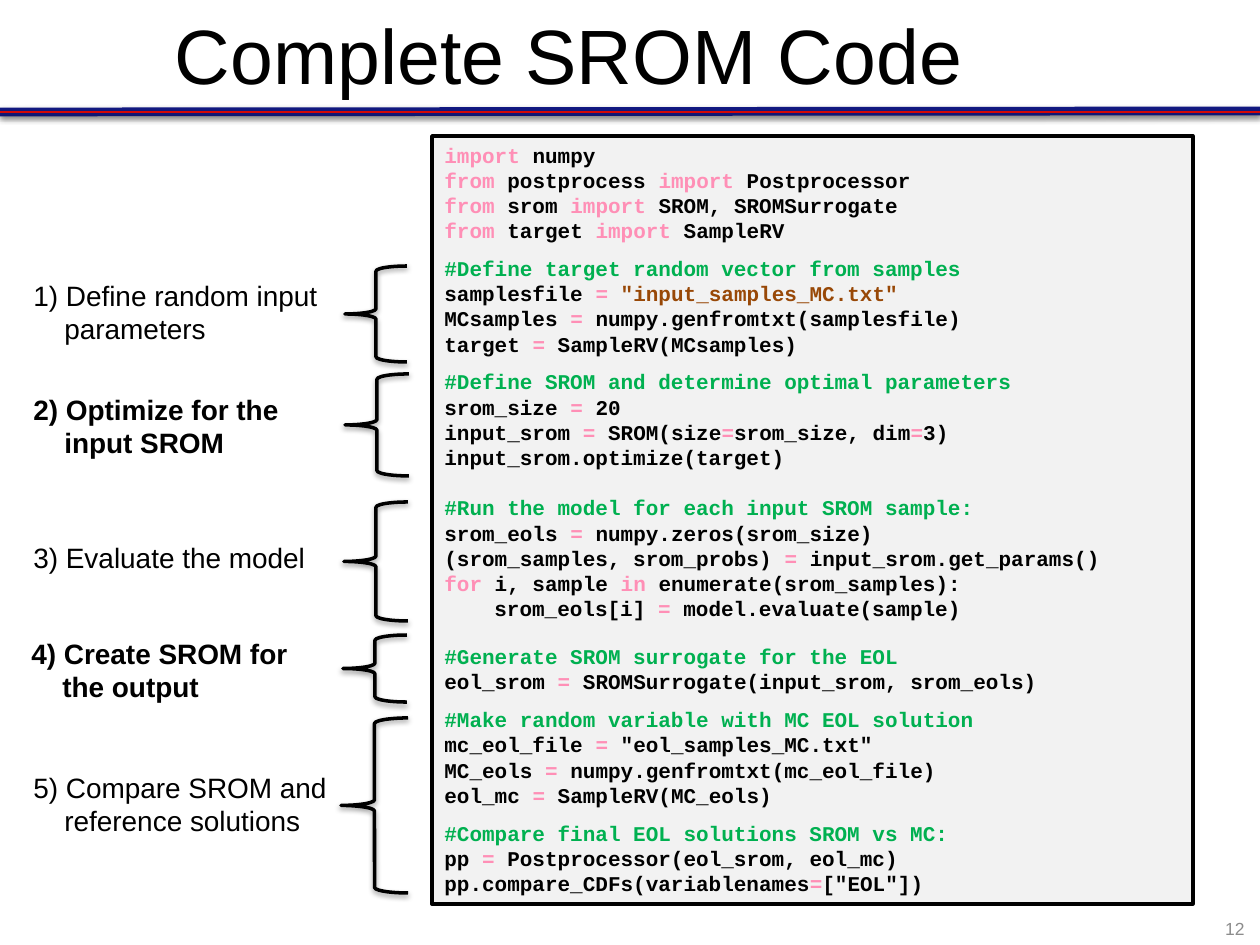
from pptx import Presentation
from pptx.dml.color import RGBColor
from pptx.enum.shapes import MSO_CONNECTOR, MSO_SHAPE
from pptx.enum.text import MSO_ANCHOR, PP_ALIGN
from pptx.oxml import parse_xml
from pptx.oxml.ns import nsdecls
from pptx.util import Pt

PX = 914400 // 126
HUES = {"black": "000000", "pink": "FF8FB6", "green": "00B050", "brown": "984807",
        "panel": "F2F2F2", "navy": "121981", "red": "D40805", "grey": "8C8C8C"}

# (points of space before the block, lines); "|" switches black and pink
CODE = [
    (0, ["|import |numpy",
         "|from |postprocess |import| Postprocessor",
         "|from| srom |import| SROM, SROMSurrogate",
         "|from |target |import |SampleRV"]),
    (7.2, ["#Define target random vector from samples",
           'samplesfile |= |"input_samples_MC.txt"',
           "MCsamples |= |numpy.genfromtxt(samplesfile)",
           "target |= |SampleRV(MCsamples)"]),
    (7.2, ["#Define SROM and determine optimal parameters",
           "srom_size |=| 20",
           "input_srom |=| SROM(size|=|srom_size, dim|=|3)",
           "input_srom.optimize(target)"]),
    (14.4, ["#Run the model for each input SROM sample:",
            "srom_eols |= |numpy.zeros(srom_size)",
            "(srom_samples, srom_probs) |= |input_srom.get_params()",
            "|for |i, sample |in| enumerate(srom_samples):",
            "\tsrom_eols[i] |= |model.evaluate(sample)"]),
    (13, ["#Generate SROM surrogate for the EOL",
          "eol_srom |= |SROMSurrogate(input_srom, srom_eols)"]),
    (7.2, ["#Make random variable with MC EOL solution",
           'mc_eol_file |=| "eol_samples_MC.txt"',
           "MC_eols |= |numpy.genfromtxt(mc_eol_file)",
           "eol_mc |= |SampleRV(MC_eols)"]),
    (7.2, ["#Compare final EOL solutions SROM vs MC:",
           "pp |=| Postprocessor(eol_srom, eol_mc)",
           'pp.compare_CDFs(variablenames|=|["EOL"])']),
]

# label lines, bold, label left and top, brace box
STEPS = [
    (["1) Define random input", "parameters"], False, (21, 272), (345, 266, 62, 96)),
    (["2) Optimize for the", "input SROM"], True, (21, 386), (345, 374, 64, 102)),
    (["3) Evaluate the model"], False, (21, 534), (344, 502, 64, 119)),
    (["4) Create SROM for", "the output"], True, (19, 630), (343, 635, 64, 67)),
    (["5) Compare SROM and", "reference solutions"], False, (21, 764), (341, 718, 67, 175)),
]


def rgb(hue):
    return RGBColor.from_string(HUES[hue])


def px(*nums):
    return [n * PX for n in nums]


def add_run(para, text, size, hue="black", bold=False, face="Arial"):
    run = para.add_run()
    run.text = text
    font = run.font
    font.name, font.size, font.bold = face, Pt(size), bold
    font.color.rgb = rgb(hue)


def add_para(frame, first, size, gap=0, inset=0):
    """Start a left-aligned line whose pitch is 1.2 times its size."""
    para = frame.paragraphs[0] if first else frame.add_paragraph()
    para.alignment = PP_ALIGN.LEFT
    para.line_spacing = Pt(size * 1.2)
    para.space_before = Pt(gap)
    if inset:
        para._p.get_or_add_pPr().set("marL", str(inset * PX))
    return para


def add_box(slide, *box):
    frame = slide.shapes.add_textbox(*px(*box)).text_frame
    frame.word_wrap = True
    return frame


def set_line(shape, hue, width):
    shape.line.color.rgb = rgb(hue)
    shape.line.width = Pt(width)


def add_shade(shape):
    shape._element.spPr.append(parse_xml(
        f'<a:effectLst {nsdecls("a")}><a:outerShdw blurRad="40000" dist="20000" '
        'dir="5400000" rotWithShape="0"><a:srgbClr val="000000">'
        '<a:alpha val="38000"/></a:srgbClr></a:outerShdw></a:effectLst>'))


def add_rules(slide):
    for hue, width, end in (("navy", 5, 111), ("red", 1, 112)):
        rule = slide.shapes.add_connector(MSO_CONNECTOR.STRAIGHT, *px(0, 112, 1260, end))
        set_line(rule, hue, width)
        add_shade(rule)


def add_title(slide):
    title = slide.shapes.title
    title.left, title.top, title.width, title.height = px(2, 0, 1134, 108)
    title.text_frame.vertical_anchor = MSO_ANCHOR.MIDDLE
    para = title.text_frame.paragraphs[0]
    para.alignment = PP_ALIGN.CENTER
    add_run(para, "Complete SROM Code", 44)


def add_code(slide):
    panel = slide.shapes.add_shape(MSO_SHAPE.RECTANGLE, *px(432, 136, 761, 768))
    panel.shadow.inherit = False
    panel.fill.solid()
    panel.fill.fore_color.rgb = rgb("panel")
    set_line(panel, "black", 2)
    frame = panel.text_frame
    frame.word_wrap = True
    frame.vertical_anchor = MSO_ANCHOR.TOP
    first = True
    for gap, lines in CODE:
        for row, line in enumerate(lines):
            inset = 50 if line.startswith("\t") else 0
            para = add_para(frame, first, 12, 0 if row else gap, inset)
            first = False
            for i, part in enumerate(line.strip("\t").split("|")):
                hue = {"#": "green", '"': "brown"}.get(part[:1], ("black", "pink")[i % 2])
                if part:
                    add_run(para, part, 12, hue, True, "Courier New")


def add_steps(slide):
    for lines, bold, spot, box in STEPS:
        brace = slide.shapes.add_shape(MSO_SHAPE.LEFT_BRACE, *px(*box))
        brace.fill.background()
        set_line(brace, "black", 2)
        add_shade(brace)
        frame = add_box(slide, *spot, 322, 13 + 34 * len(lines))
        for row, line in enumerate(lines):
            para = add_para(frame, row == 0, 16, inset=31 * row)
            add_run(para, line, 16, bold=bold)


def add_number(slide):
    frame = add_box(slide, 1177, 895, 80, 50)
    frame.vertical_anchor = MSO_ANCHOR.BOTTOM
    para = frame.paragraphs[0]
    para.alignment = PP_ALIGN.RIGHT
    add_run(para, "12", 10, "grey")


def main():
    deck = Presentation()
    deck.slide_width, deck.slide_height = px(1260, 945)
    slide = deck.slides.add_slide(deck.slide_layouts[5])
    for add in (add_rules, add_title, add_number, add_code, add_steps):
        add(slide)
    deck.save("out.pptx")


if __name__ == "__main__":
    main()
